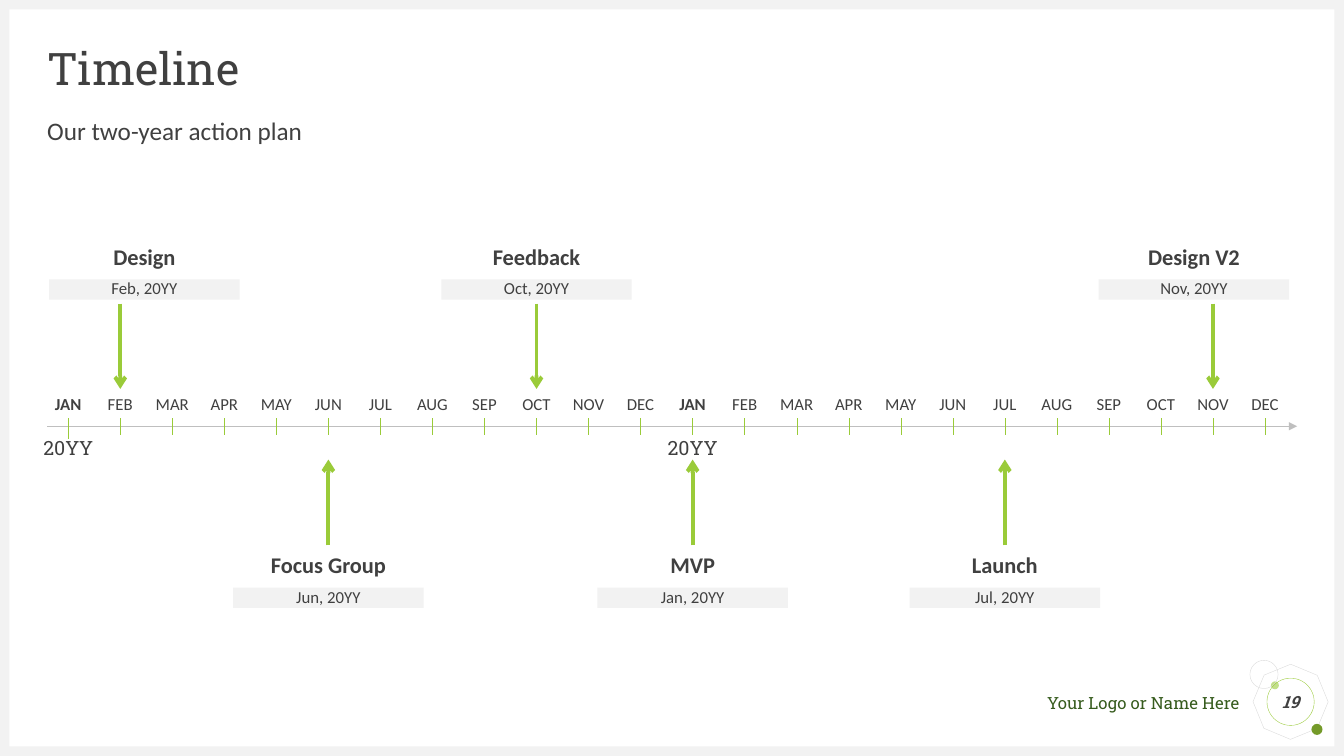
"""Build a two-year timeline slide with six milestones."""
from lxml.etree import SubElement
from pptx import Presentation
from pptx.dml.color import RGBColor
from pptx.enum.shapes import MSO_CONNECTOR as Connector, MSO_SHAPE as Shape
from pptx.enum.text import MSO_ANCHOR as Anchor, PP_ALIGN as Align
from pptx.oxml.ns import qn
from pptx.util import Cm, Pt

COLORS = {
    "text": "404040", "panel": "F2F2F2", "axis": "BFBFBF", "outline": "D9D9D9",
    "green": "9ACB39", "light": "C2E088", "dark": "749A29", "footer": "375C1E",
}
SLAB, SANS = "Roboto Slab", "Calibri"
WIDTH, HEIGHT, FRAME = 33.87, 19.05, 0.24
MARGIN, CONTENT_WIDTH = 1.19, 31.5
MONTHS = ["JAN", "FEB", "MAR", "APR", "MAY", "JUN",
          "JUL", "AUG", "SEP", "OCT", "NOV", "DEC"]
FIRST_MONTH, LAST_MONTH = 1.72, 31.88
STEP = (LAST_MONTH - FIRST_MONTH) / (2 * len(MONTHS) - 1)
FIRST_EVENT, LAST_EVENT = 3.64, 30.09
ABOVE = {"heading": 6.1, "bar": 7.04, "start": 7.65, "end": 9.8}
BELOW = {"heading": 13.87, "bar": 14.81, "start": 13.74, "end": 11.58}
EVENTS = [
    ("Design", 1, ABOVE), ("Focus Group", 5, BELOW), ("Feedback", 9, ABOVE),
    ("MVP", 12, BELOW), ("Launch", 18, BELOW), ("Design V2", 22, ABOVE),
]


def rgb(name):
    return RGBColor.from_string(COLORS[name])


def month_x(index):
    return FIRST_MONTH + index * STEP


def write(box, text, size=12, font=SANS, color="text", bold=False, italic=False,
          align=Align.CENTER, anchor=Anchor.TOP, spacing=0.9, inset=0):
    frame = box.text_frame
    frame.word_wrap = True
    frame.vertical_anchor = anchor
    frame.margin_left = frame.margin_right = frame.margin_bottom = 0
    frame.margin_top = Cm(inset)
    para = frame.paragraphs[0]
    para.alignment = align
    para.line_spacing = spacing
    span = para.add_run()
    span.text = text
    span.font.name = font
    span.font.size = Pt(size)
    span.font.bold = bold
    span.font.italic = italic
    span.font.color.rgb = rgb(color)


class TimelinePage:
    def __init__(self, deck):
        self.page = deck.slides.add_slide(deck.slide_layouts[6])

    def text(self, left, top, width, height, text, **style):
        box = self.page.shapes.add_textbox(Cm(left), Cm(top), Cm(width), Cm(height))
        write(box, text, **style)

    def shape(self, kind, left, top, width, height, fill=None, line=None):
        box = self.page.shapes.add_shape(kind, Cm(left), Cm(top), Cm(width), Cm(height))
        box.shadow.inherit = False
        if fill:
            box.fill.solid()
            box.fill.fore_color.rgb = rgb(fill)
        else:
            box.fill.background()
        if line:
            box.line.color.rgb = rgb(line)
            box.line.width = Pt(0.25)
        else:
            box.line.fill.background()
        return box

    def line(self, x1, y1, x2, y2, color, weight, head=None):
        rule = self.page.shapes.add_connector(
            Connector.STRAIGHT, Cm(x1), Cm(y1), Cm(x2), Cm(y2))
        rule.line.color.rgb = rgb(color)
        rule.line.width = Pt(weight)
        properties = rule._element.spPr
        if head:
            SubElement(properties.find(qn("a:ln")), qn("a:tailEnd"), type=head)
        SubElement(properties, qn("a:effectLst"))

    def event(self, name, index, level):
        center = min(max(month_x(index), FIRST_EVENT), LAST_EVENT)
        self.text(center - 2.49, level["heading"], 4.98, 1.55, name,
                  size=16, bold=True, inset=0.1)
        bar = self.shape(Shape.RECTANGLE, center - 2.4, level["bar"], 4.8, 0.51, "panel")
        month = MONTHS[index % len(MONTHS)].capitalize()
        write(bar, f"{month}, 20YY", anchor=Anchor.MIDDLE)
        self.line(month_x(index), level["start"], month_x(index), level["end"],
                  "green", 2.75, "arrow")

    def month(self, index):
        x = month_x(index)
        year, number = divmod(index, len(MONTHS))
        self.text(x - 0.52, 9.98, 1.04, 0.56, MONTHS[number], bold=number == 0)
        if number == 0:
            self.text(x - 0.76, 11.05, 1.52, 0.56, "20YY", size=14, font=SLAB,
                      anchor=Anchor.MIDDLE)
        self.line(x, 10.54, x, 10.97 if index else 11.05, "green", 0.25 if year else 0.5)

    def frame(self):
        for left, top, width, height in [
            (0, HEIGHT - FRAME, WIDTH, FRAME), (0, 0, WIDTH, FRAME),
            (0, 0, FRAME, HEIGHT), (WIDTH - FRAME, 0, FRAME, HEIGHT),
        ]:
            self.shape(Shape.RECTANGLE, left, top, width, height, "panel")

    def footer(self):
        octagon = self.shape(Shape.OCTAGON, 31.65, 16.81, 1.75, 1.75, line="outline")
        octagon.rotation = 22.7
        self.shape(Shape.OVAL, 32.03, 17.17, 0.2, 0.2, "light")
        self.shape(Shape.OVAL, 33.05, 18.24, 0.28, 0.28, "dark")
        self.shape(Shape.OVAL, 31.5, 16.64, 0.71, 0.71, line="outline")
        self.text(24.26, 17.45, 6.98, 0.51, "Your Logo or Name Here", font=SLAB,
                  color="footer", align=Align.RIGHT, spacing=1.0)
        badge = self.shape(Shape.OVAL, 31.93, 17.09, 1.19, 1.19, line="green")
        write(badge, "19", font=SLAB, bold=True, italic=True,
              anchor=Anchor.MIDDLE, spacing=1.0)


def main():
    deck = Presentation()
    deck.slide_width, deck.slide_height = Cm(WIDTH), Cm(HEIGHT)
    timeline = TimelinePage(deck)
    timeline.frame()
    timeline.footer()
    timeline.text(MARGIN, 1.19, CONTENT_WIDTH, 1.19, "Timeline", size=32, font=SLAB,
                  align=Align.LEFT, anchor=Anchor.MIDDLE)
    timeline.text(MARGIN, 3, CONTENT_WIDTH, 0.76, "Our two-year action plan", size=18,
                  align=Align.LEFT)
    timeline.line(MARGIN, 10.74, MARGIN + CONTENT_WIDTH, 10.74, "axis", 0.5, "triangle")
    for index in range(2 * len(MONTHS)):
        timeline.month(index)
    for name, index, level in EVENTS:
        timeline.event(name, index, level)
    deck.save("out.pptx")


if __name__ == "__main__":
    main()
